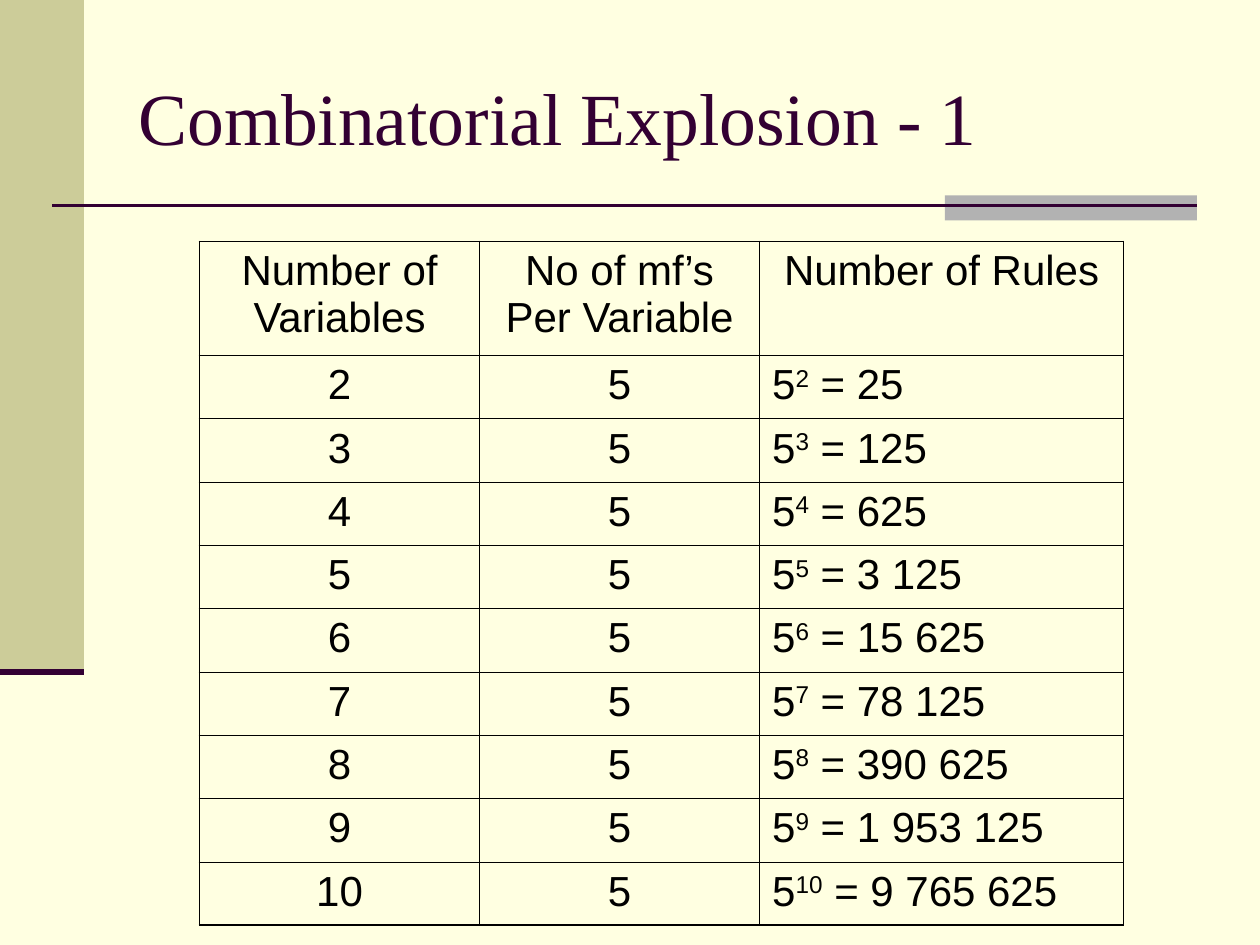
from lxml.etree import SubElement as Sub
from pptx import Presentation
from pptx.dml.color import RGBColor as RGB
from pptx.enum.shapes import MSO_CONNECTOR as Link, MSO_SHAPE as Shape
from pptx.enum.text import MSO_ANCHOR as Anchor, PP_ALIGN as Align
from pptx.oxml.ns import qn
from pptx.util import Inches, Pt

CREAM = RGB(0xFF, 0xFF, 0xE1)
KHAKI = RGB(0xCC, 0xCC, 0x99)
GREY = RGB(0xB2, 0xB2, 0xB2)
PLUM = RGB(0x33, 0x00, 0x33)
BLACK = RGB(0x00, 0x00, 0x00)

UNIT = Inches(1) // 12
COLS, ROWS = 120, 90
THIN, THICK = Pt(0.45), Pt(1.08)
HEAD = ["Number of Variables", "No of mf’s Per Variable", "Number of Rules"]
TERMS = 5
COUNTS = range(2, 11)


def grid(*spans):
    """Turn grid counts into lengths."""
    return [round(span * UNIT) for span in spans]


def apply(item, values):
    """Set attributes from a dict of format values."""
    for name, value in values.items():
        setattr(item, name, value)


class Deck:
    """Hold the style and the current slide."""

    title = {"name": "Times New Roman", "size": Pt(42)}
    body = {"name": "Arial", "size": Pt(24)}
    frame = {"word_wrap": True, "vertical_anchor": Anchor.MIDDLE}
    plain = {"first_row": False, "horz_banding": False}

    def __init__(self):
        self.show = Presentation()
        wide, high = grid(COLS, ROWS)
        apply(self.show, {"slide_width": wide, "slide_height": high})
        self.slide = self.show.slides.add_slide(self.show.slide_layouts[6])
        self.paint(self.slide.background.fill, CREAM)

    def paint(self, fill, color):
        """Fill with one solid colour."""
        fill.solid()
        fill.fore_color.rgb = color

    def block(self, place, color):
        """Add a plain rectangle."""
        shape = self.slide.shapes.add_shape(Shape.RECTANGLE, *grid(*place))
        shape.shadow.inherit = False
        self.paint(shape.fill, color)
        shape.line.fill.background()

    def rule(self, ends, width):
        """Add a straight plum line."""
        line = self.slide.shapes.add_connector(Link.STRAIGHT, *grid(*ends))
        line.line.width = Pt(width)
        line.line.color.rgb = PLUM
        Sub(line._element.spPr, qn("a:effectLst"))

    def label(self, para, text, style, color, base=0):
        """Add a run of styled text."""
        run = para.add_run()
        run.text = text
        apply(run.font, style)
        run.font.color.rgb = color
        if base:
            run.font._element.set("baseline", str(base * 1000))

    def heading(self, place, text):
        """Add the slide title."""
        box = self.slide.shapes.add_textbox(*grid(*place)).text_frame
        apply(box, self.frame)
        self.label(box.paragraphs[0], text, self.title, PLUM)

    def edge(self, cell, sides):
        """Draw the cell borders in the given widths."""
        props = cell._tc.get_or_add_tcPr()
        for side, width in sides.items():
            line = Sub(props, qn(f"a:ln{side}"), w=str(int(width)))
            fill = Sub(line, qn("a:solidFill"))
            Sub(fill, qn("a:srgbClr"), val=str(BLACK))
        cell.fill.background()

    def table(self, spot, wides, highs, data):
        """Add a ruled table of cells made of text and baseline pairs."""
        place = grid(*spot, sum(wides), sum(highs))
        table = self.slide.shapes.add_table(len(highs), len(wides), *place).table
        apply(table, self.plain)
        for col, wide in zip(table.columns, grid(*wides)):
            col.width = wide
        for row, high in zip(table.rows, grid(*highs)):
            row.height = high
        last, end = len(highs) - 1, len(wides) - 1
        for r, line in enumerate(data):
            for c, parts in enumerate(line):
                cell = table.cell(r, c)
                outer = {"L": c == 0, "R": c == end, "T": r == 0, "B": r == last}
                self.edge(cell, {s: THICK if o else THIN for s, o in outer.items()})
                para = cell.text_frame.paragraphs[0]
                left = len(parts) > 1
                apply(para, {"alignment": Align.LEFT if left else Align.CENTER,
                             "space_before": Pt(6)})
                for text, base in parts:
                    self.label(para, text, self.body, BLACK, base)


def power(count):
    """Give the cells for one number of variables."""
    total = f"{TERMS ** count:,}".replace(",", " ")
    rules = [(str(TERMS), 0), (str(count), 30), (f" = {total}", 0)]
    return [[(str(count), 0)], [(str(TERMS), 0)], rules]


def main():
    """Build and save the slide."""
    deck = Deck()
    deck.block((0, 0, 8, 64), KHAKI)
    deck.block((90, 18.6, 24, 2.4), GREY)
    deck.rule((5, 19.6, 114, 19.6), 1.5)
    deck.rule((0, 64, 8, 64), 3.5)
    deck.heading((12, 3.6, 102, 15), "Combinatorial Explosion - 1")
    data = [[[(text, 0)] for text in HEAD]] + [power(count) for count in COUNTS]
    highs = [10.86] + [6.03] * len(COUNTS)
    deck.table((19, 23), (26.67, 26.67, 34.67), highs, data)
    deck.show.save("out.pptx")


if __name__ == "__main__":
    main()
